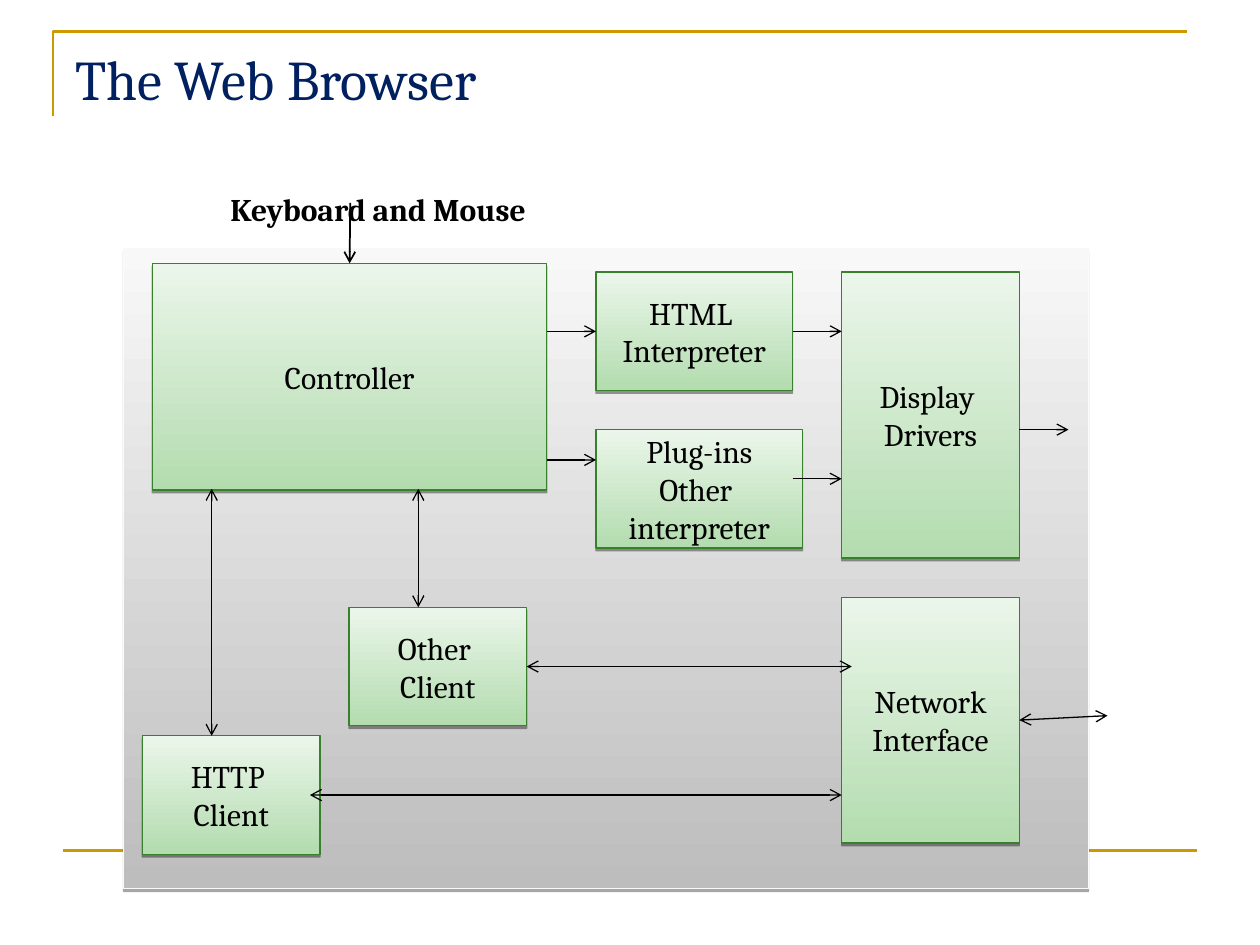
import pptx
import pptx.util
import pptx.dml.color
import pptx.enum.shapes
import pptx.enum.text
import pptx.oxml
import pptx.oxml.ns
from lxml import etree

Inches, Pt = pptx.util.Inches, pptx.util.Pt
qn = pptx.oxml.ns.qn
STRAIGHT = pptx.enum.shapes.MSO_CONNECTOR.STRAIGHT
RECT = pptx.enum.shapes.MSO_SHAPE.RECTANGLE
ANCHOR, ALIGN = pptx.enum.text.MSO_ANCHOR, pptx.enum.text.PP_ALIGN

COLORS = {"gold": "CC9900", "title": "002060", "text": "000000",
          "panel_low": "BDBDBD", "panel_high": "F8F8F8", "panel_edge": "F9F9F9",
          "box_low": "B3DCAF", "box_high": "EBF6EA", "box_edge": "38802C"}
FONT = "Cambria"
TOP, LEFT, RIGHT = 0, 1, 3

# name: (left, top, width, height), lines
BOXES = {
    "controller": ((1.21, 2.09, 3.13, 1.8), ["Controller"]),
    "html": ((4.73, 2.16, 1.56, 0.94), ["HTML ", "Interpreter"]),
    "plugins": ((4.73, 3.41, 1.64, 0.94), ["Plug-ins", "Other ", "interpreter"]),
    "display": ((6.68, 2.16, 1.41, 2.27), ["Display ", "Drivers"]),
    "other": ((2.77, 4.82, 1.41, 0.94), ["Other ", "Client"]),
    "http": ((1.13, 5.84, 1.41, 0.94), ["HTTP ", "Client"]),
    "network": ((6.68, 4.74, 1.41, 1.95), ["Network", "Interface"]),
}

# start, end, arrow at both ends, line width, joined start, joined end
ARROWS = [
    ((4.34, 2.63), (4.73, 2.63), False, 0.75, None, ("html", LEFT)),
    ((4.34, 3.65), (4.73, 3.65), False, 0.75, None, None),
    ((6.29, 2.63), (6.68, 2.63), False, 0.75, ("html", RIGHT), None),
    ((6.29, 3.8), (6.68, 3.8), False, 0.75, None, None),
    ((8.09, 3.41), (8.48, 3.41), False, 0.75, None, None),
    ((1.68, 3.88), (1.68, 5.84), True, 0.75, None, None),
    ((3.32, 3.88), (3.32, 4.82), True, 0.75, None, None),
    ((2.46, 6.31), (6.68, 6.31), True, 0.75, None, None),
    ((4.18, 5.29), (6.76, 5.29), True, 0.75, ("other", RIGHT), None),
    ((8.09, 5.72), (8.79, 5.68), True, 0.75, ("network", RIGHT), None),
    ((2.78, 1.61), (2.77, 2.09), False, 1, None, ("controller", TOP)),
]


def rgb(name):
    return pptx.dml.color.RGBColor.from_string(COLORS[name])


def write(tf, lines, size, color="text", bold=False, align=ALIGN.LEFT):
    tf.word_wrap = True
    for i, line in enumerate(lines):
        p = tf.paragraphs[0] if i == 0 else tf.add_paragraph()
        p.text = line
        p.alignment = align
        p.font.name, p.font.size, p.font.bold = FONT, Pt(size), bold
        p.font.color.rgb = rgb(color)


def add_text(shapes, at, text, size, **style):
    s = shapes.add_textbox(*map(Inches, at))
    write(s.text_frame, [text], size, **style)


def add_block(shapes, at, kind, distance, opacity):
    """Rectangle with a bottom-to-top gradient and a shadow below it."""
    s = shapes.add_shape(RECT, *map(Inches, at))
    s.fill.gradient()
    s.fill.gradient_angle = 90
    for stop, end in zip(s.fill.gradient_stops, ("low", "high")):
        stop.color.rgb = rgb(f"{kind}_{end}")
    s.line.color.rgb = rgb(f"{kind}_edge")
    s.line.width = Pt(0.75)
    s.shadow.inherit = False
    shadow = etree.SubElement(s._element.spPr.find(qn("a:effectLst")), qn("a:outerShdw"),
                              dist=str(Pt(distance)), dir="5400000", rotWithShape="0")
    color = etree.SubElement(shadow, qn("a:srgbClr"), val=COLORS["text"])
    etree.SubElement(color, qn("a:alpha"), val=str(opacity * 1000))
    return s


def add_line(shapes, start, end, color, width):
    s = shapes.add_connector(STRAIGHT, *map(Inches, start + end))
    s.line.color.rgb = rgb(color)
    s.line.width = Pt(width)
    etree.SubElement(s._element.spPr, qn("a:effectLst"))
    return s


def add_frame(shapes):
    builder = shapes.build_freeform(Inches(0.42), Inches(0.92))
    builder.add_line_segments([(Inches(0.42), Inches(0.25)),
                               (Inches(9.42), Inches(0.25))], close=False)
    s = builder.convert_to_shape()
    s.fill.background()
    s.line.color.rgb = rgb("gold")
    s.line.width = Pt(1.5)
    s.shadow.inherit = False
    add_line(shapes, (0.5, 6.75), (9.5, 6.75), "gold", 1.5)


def main():
    prs = pptx.Presentation()
    prs.slide_width, prs.slide_height = Inches(10), Inches(7.5)
    shapes = prs.slides.add_slide(prs.slide_layouts[6]).shapes

    add_frame(shapes)
    add_text(shapes, (0.5, 0.3, 9, 1.25), "The Web Browser", 32, color="title")
    add_text(shapes, (1.73, 1.46, 3, 0.4), "Keyboard and Mouse", 18, bold=True)

    add_block(shapes, (0.98, 1.97, 7.66, 5.08), "panel", 1.8, 35)
    blocks = {}
    for name, (at, lines) in BOXES.items():
        s = blocks[name] = add_block(shapes, at, "box", 1.6, 38)
        s.text_frame.vertical_anchor = ANCHOR.MIDDLE
        write(s.text_frame, lines, 18, align=ALIGN.CENTER)

    for start, end, both, width, source, target in ARROWS:
        s = add_line(shapes, start, end, "text", width)
        if source:
            s.begin_connect(blocks[source[0]], source[1])
        if target:
            s.end_connect(blocks[target[0]], target[1])
        ln = s.line._get_or_add_ln()
        for tag in ["a:headEnd", "a:tailEnd"] if both else ["a:tailEnd"]:
            etree.SubElement(ln, qn(tag), type="arrow")

    prs.save("out.pptx")


if __name__ == "__main__":
    main()
